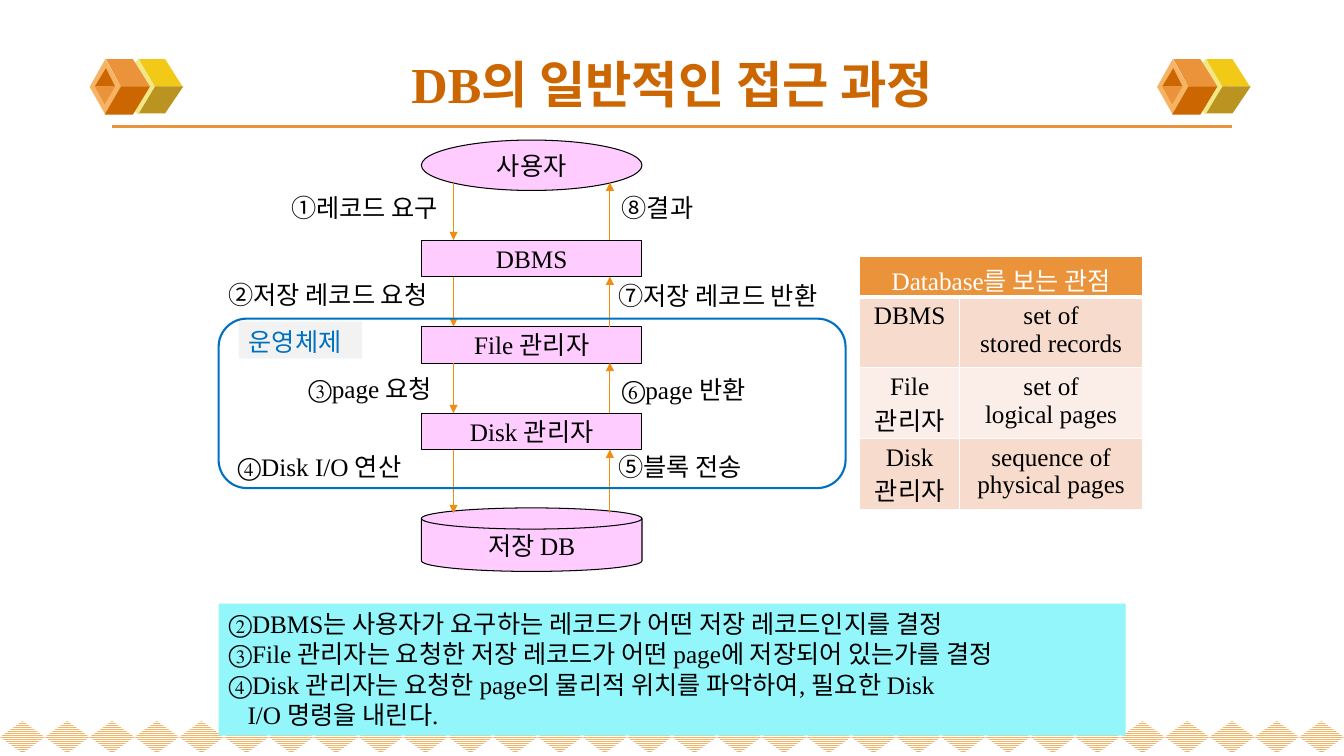
from pptx import Presentation
from pptx.dml.color import RGBColor
from pptx.enum.dml import MSO_PATTERN
from pptx.enum.shapes import MSO_CONNECTOR, MSO_SHAPE
from pptx.enum.text import MSO_ANCHOR, PP_ALIGN
from pptx.oxml.ns import qn
from pptx.util import Cm, Pt
from lxml.etree import SubElement

FONT = "Times New Roman"
COLORS = {
    "white": "FFFFFF", "black": "000000", "rust": "CC6600", "orange": "EB933B",
    "peach": "F5B363", "lemon": "F1E785", "yellow": "F3C917", "olive": "BB9321",
    "pink": "FFCCFF", "arrow": "F08C12", "blue": "0070C0", "grey": "F2F2F2",
    "cyan": "93F6FB", "row_dark": "F7DCCE", "row_light": "FBEEE8",
}
TITLE = "DB의 일반적인 접근 과정"
NODES = [
    ("사용자", MSO_SHAPE.OVAL, 3.53, 1.27),
    ("DBMS", MSO_SHAPE.RECTANGLE, 6.05, 0.92),
    ("File 관리자", MSO_SHAPE.RECTANGLE, 8.23, 0.92),
    ("Disk 관리자", MSO_SHAPE.RECTANGLE, 10.41, 0.92),
    ("저장 DB", MSO_SHAPE.FLOWCHART_MAGNETIC_DISK, 12.8, 1.6),
]
NODE_LEFT, NODE_WIDTH = 10.62, 5.56
REQUEST_X, REPLY_X = 11.43, 15.37
GAPS = [(4.6, 6.05), (6.97, 8.23), (9.14, 10.41), (11.33, 12.93)]
STEPS = [
    ("①레코드 요구", 7.09, 4.72, 4.6),
    ("②저장 레코드 요청", 5.51, 6.91, 6.15),
    ("③page 요청", 7.52, 9.27, 4.17),
    ("④Disk I/O 연산", 5.74, 11.25, 5.92),
    ("⑤블록 전송", 15.34, 11.25, 4.06),
    ("⑥page 반환", 15.42, 9.3, 4.19),
    ("⑦저장 레코드 반환", 15.34, 6.93, 6.22),
    ("⑧결과", 15.42, 4.72, 2.54),
]
SYSTEM = "운영체제"
NOTES = [
    "②DBMS는 사용자가 요구하는 레코드가 어떤 저장 레코드인지를 결정",
    "③File 관리자는 요청한 저장 레코드가 어떤 page에 저장되어 있는가를 결정",
    "④Disk 관리자는 요청한 page의 물리적 위치를 파악하여, 필요한 Disk",
    "I/O 명령을 내린다.",
]
VIEWS_HEADING = "Database를 보는 관점"
VIEWS = [
    (["DBMS"], ["set of", "stored records"]),
    (["File", "관리자"], ["set of", "logical pages"]),
    (["Disk", "관리자"], ["sequence of physical pages"]),
]
CUBE_LEFTS, CUBE_TOP = [2.26, 29.16], 1.49
CUBE_DIAMONDS = [("lemon", 0.66, 1.12), ("peach", 0, 0.79)]
CUBE_FACES = [
    ("yellow", [(1.65, 0.69), (2.34, 0.69), (1.9, 0), (1.24, 0)]),
    ("olive", [(1.65, 0.69), (2.36, 0.69), (1.9, 1.37), (1.24, 1.37)]),
    ("orange", [(0.79, 0.69), (1.52, 0.69), (1.09, 0), (0.41, 0)]),
    ("rust", [(0.79, 0.69), (1.52, 0.69), (1.09, 1.4), (0.38, 1.4)]),
    ("rust", [(0.41, 0.23), (0.13, 0.69), (0.64, 0.69)]),
    ("orange", [(0.38, 1.14), (0.13, 0.69), (0.64, 0.69)]),
]
DIAMOND_COUNT = 30

deck = Presentation()
deck.slide_width, deck.slide_height = Cm(33.87), Cm(19.05)
page = deck.slides.add_slide(deck.slide_layouts[5])


def color(name):
    return RGBColor.from_string(COLORS[name])


def paint(shape, fill=None, line=None, weight=0.75):
    shape.shadow.inherit = False
    if fill:
        shape.fill.solid()
        shape.fill.fore_color.rgb = color(fill)
    else:
        shape.fill.background()
    if line:
        shape.line.color.rgb = color(line)
        shape.line.width = Pt(weight)
    else:
        shape.line.fill.background()


def add_shape(kind, left, top, width, height, **style):
    shape = page.shapes.add_shape(kind, Cm(left), Cm(top), Cm(width), Cm(height))
    paint(shape, **style)
    return shape


def write(frame, lines, ink="black", align=PP_ALIGN.LEFT, size=18, bold=False):
    frame.word_wrap = True
    for index, line in enumerate(lines):
        para = frame.paragraphs[0] if index == 0 else frame.add_paragraph()
        para.text = line
        para.alignment = align
        para.font.name = FONT
        para.font.size = Pt(size)
        para.font.bold = bold
        para.font.color.rgb = color(ink)


def add_line(start_x, start_y, end_x, end_y, ink, weight, arrow=False):
    line = page.shapes.add_connector(
        MSO_CONNECTOR.STRAIGHT, Cm(start_x), Cm(start_y), Cm(end_x), Cm(end_y))
    line.line.color.rgb = color(ink)
    line.line.width = Pt(weight)
    if arrow:
        outline = line._element.spPr.find(qn("a:ln"))
        SubElement(outline, qn("a:tailEnd"), type="triangle")
    SubElement(line._element.spPr, qn("a:effectLst"))


def add_cube(left):
    for fill, offset, width in CUBE_DIAMONDS:
        add_shape(MSO_SHAPE.DIAMOND, left + offset, CUBE_TOP, width, 1.4, fill=fill)
    for fill, outline in CUBE_FACES:
        points = [(Cm(left + x), Cm(CUBE_TOP + y)) for x, y in outline]
        builder = page.shapes.build_freeform(*points[0])
        builder.add_line_segments(points[1:], close=True)
        paint(builder.convert_to_shape(), fill=fill)


pitch = 33.87 / DIAMOND_COUNT
for index in range(DIAMOND_COUNT):
    diamond = add_shape(MSO_SHAPE.DIAMOND, index * pitch, 18.17, pitch, 0.81)
    diamond.fill.patterned()
    diamond.fill.pattern = MSO_PATTERN.NARROW_HORIZONTAL
    diamond.fill.fore_color.rgb = color("peach")
    diamond.fill.back_color.rgb = color("white")

add_line(2.82, 3.18, 31.04, 3.18, "orange", 2.25)
for left in CUBE_LEFTS:
    add_cube(left)

title = page.shapes.title
title.left, title.top, title.width, title.height = Cm(1.7), Cm(1.14), Cm(30.48), Cm(1.93)
title.text_frame.vertical_anchor = MSO_ANCHOR.MIDDLE
write(title.text_frame, [TITLE], "rust", PP_ALIGN.CENTER, 36, True)

for label, kind, top, height in NODES:
    node = add_shape(kind, NODE_LEFT, top, NODE_WIDTH, height, fill="pink", line="black")
    node.text_frame.vertical_anchor = MSO_ANCHOR.MIDDLE
    write(node.text_frame, [label], align=PP_ALIGN.CENTER)

for upper, lower in GAPS:
    add_line(REQUEST_X, upper, REQUEST_X, lower, "arrow", 0.75, True)
    add_line(REPLY_X, lower, REPLY_X, upper, "arrow", 0.75, True)

add_shape(MSO_SHAPE.ROUNDED_RECTANGLE, 5.51, 8.03, 15.8, 4.27, line="blue", weight=1.5)

for label, left, top, width in STEPS:
    box = page.shapes.add_textbox(Cm(left), Cm(top), Cm(width), Cm(0.94))
    write(box.text_frame, [label])

system = add_shape(MSO_SHAPE.RECTANGLE, 6.02, 8.1, 3.1, 0.94, fill="grey")
system.text_frame.vertical_anchor = MSO_ANCHOR.TOP
write(system.text_frame, [SYSTEM], "blue")

notes = add_shape(MSO_SHAPE.RECTANGLE, 5.51, 15.21, 22.86, 3.33, fill="cyan")
notes.text_frame.vertical_anchor = MSO_ANCHOR.TOP
write(notes.text_frame, NOTES)
notes.text_frame.paragraphs[-1]._p.get_or_add_pPr().set("marL", str(Cm(0.48)))

views = page.shapes.add_table(
    len(VIEWS) + 1, 2, Cm(21.67), Cm(6.45), Cm(7.13), Cm(6.38)).table
views.columns[0].width, views.columns[1].width = Cm(2.51), Cm(4.62)
for index, row in enumerate(views.rows):
    row.height = Cm(1.78 if index else 1.04)
views.cell(0, 0).merge(views.cell(0, 1))
for row, contents in enumerate([([VIEWS_HEADING], [])] + VIEWS):
    for column, lines in enumerate(contents):
        cell = views.cell(row, column)
        write(cell.text_frame, lines, "black" if row else "white", PP_ALIGN.CENTER)
        properties = cell._tc.get_or_add_tcPr()
        for side in ("lnL", "lnR", "lnT", "lnB"):
            weight = 3 if (row, side) in [(0, "lnB"), (1, "lnT")] else 1
            border = SubElement(properties, qn("a:" + side), w=str(Pt(weight)))
            border_fill = SubElement(border, qn("a:solidFill"))
            SubElement(border_fill, qn("a:srgbClr"), val=COLORS["white"])
        cell.fill.solid()
        shade = "row_dark" if row % 2 else "row_light"
        cell.fill.fore_color.rgb = color(shade if row else "orange")

deck.save("out.pptx")
